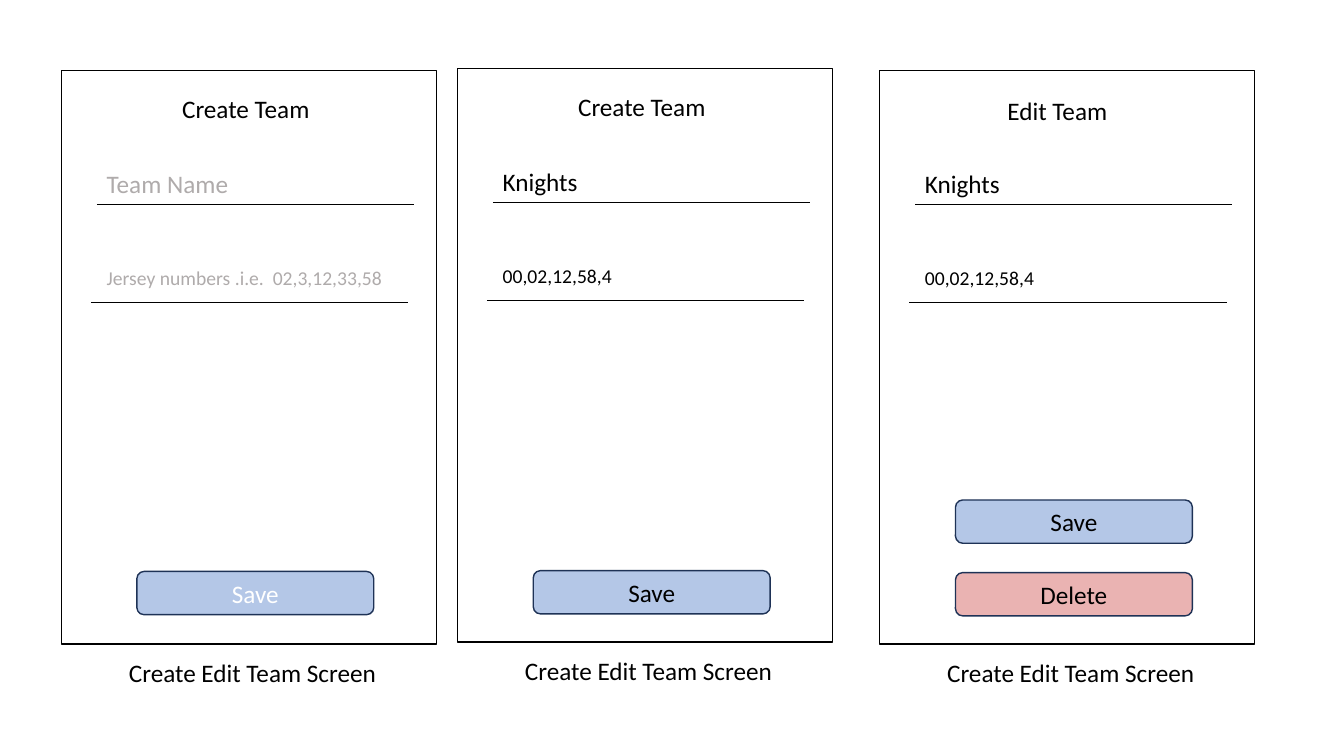
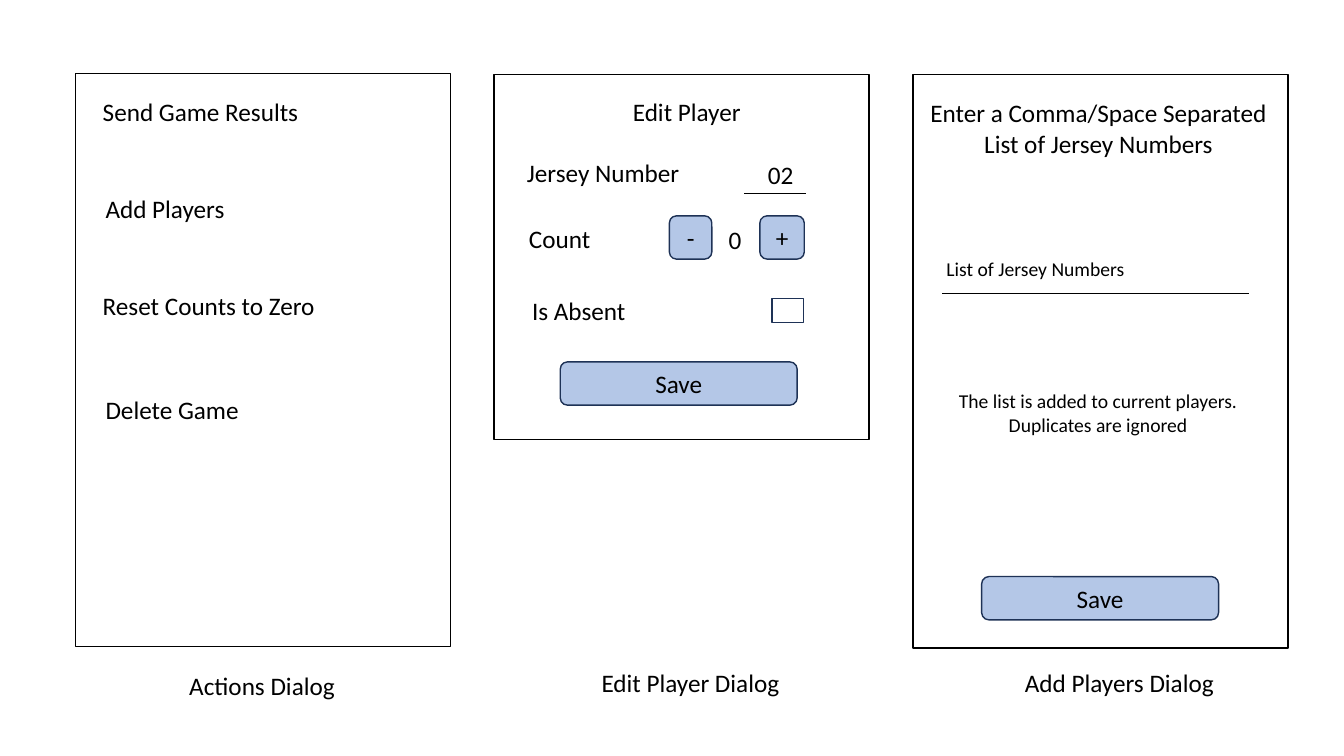
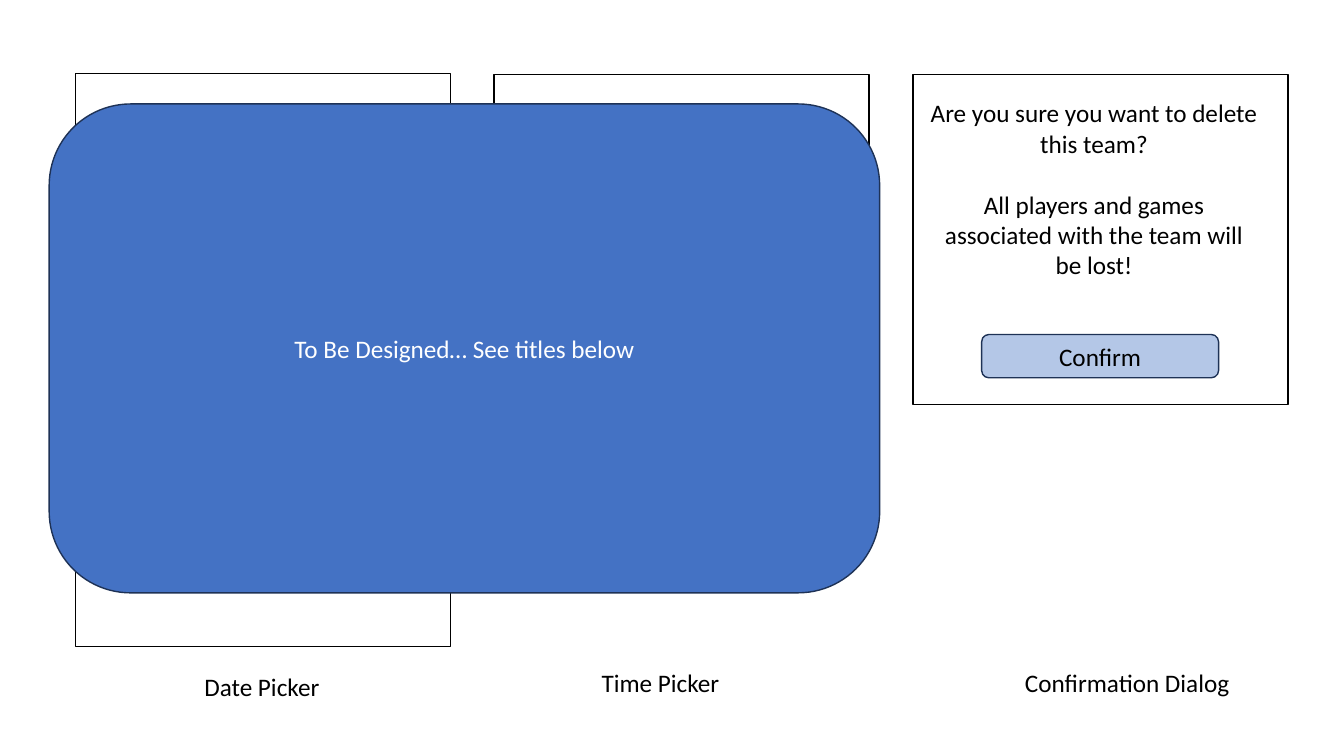
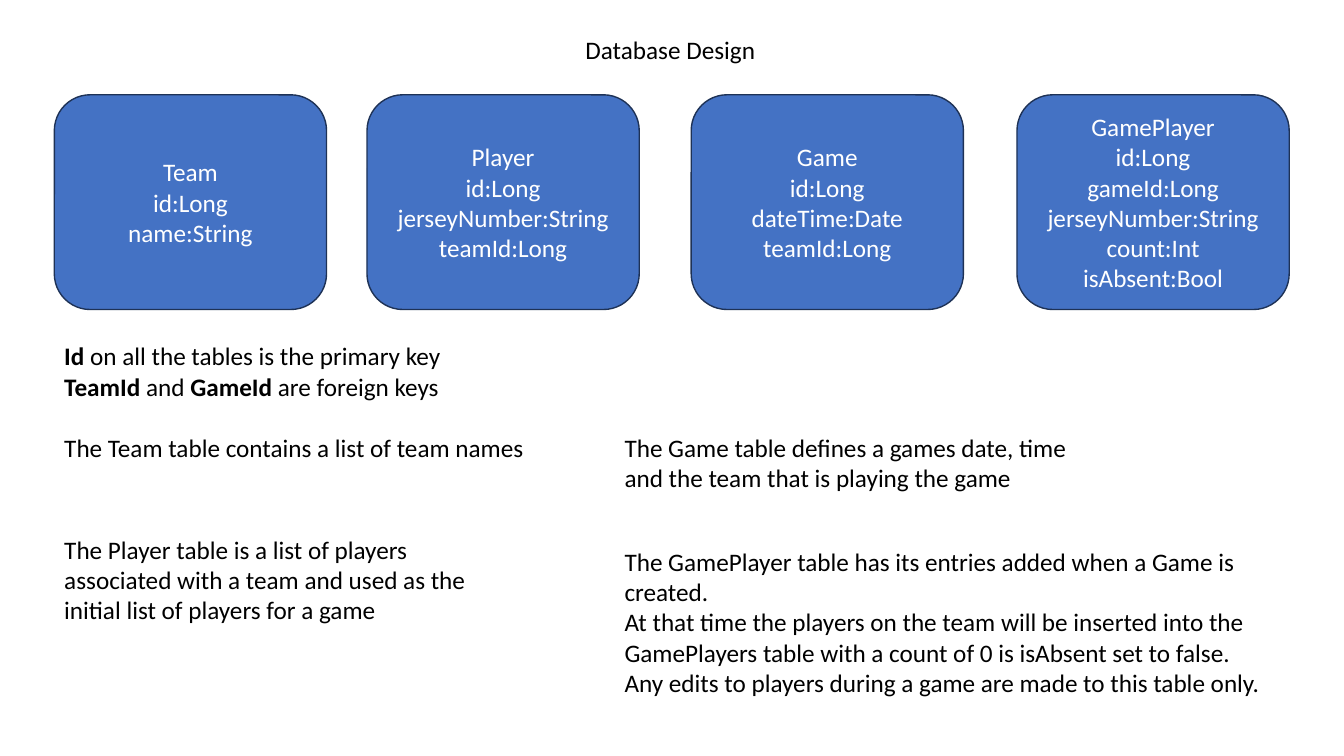
from lxml import etree
from pptx import Presentation
from pptx.dml.color import RGBColor
from pptx.enum import shapes, text
from pptx.oxml import ns
from pptx.util import Cm, Pt

# Shared style
BLACK = RGBColor(0x00, 0x00, 0x00)
WHITE = RGBColor(0xFF, 0xFF, 0xFF)
HINT = RGBColor(0xAF, 0xAB, 0xAB)
BUTTON = RGBColor(0xB4, 0xC7, 0xE7)
DANGER = RGBColor(0xEA, 0xB3, 0xB2)
BLUE = RGBColor(0x44, 0x72, 0xC4)
OUTLINE = RGBColor(0x1E, 0x32, 0x56)
FONT = "Calibri"
BODY, SMALL = 18, 14
LEFT, CENTER = text.PP_ALIGN.LEFT, text.PP_ALIGN.CENTER
RECT = shapes.MSO_SHAPE.RECTANGLE
ROUNDED = shapes.MSO_SHAPE.ROUNDED_RECTANGLE
TITLE_ONLY, BLANK = 5, 6

# Screen mock-up sizes and places, in centimetres
PANEL_WIDTH, PANEL_HEIGHT = 9.45, 14.45
BUTTON_WIDTH, BUTTON_HEIGHT = 5.97, 1.09
ACTIONS, MIDDLE, RIGHT = (1.91, 1.85), (12.45, 1.88), (23.01, 1.88)
DIALOG_HEIGHT = 9.19


def write(frame, paragraphs, size=BODY, color=BLACK, align=LEFT, gap=0):
    """Fill a frame; a paragraph is a string or a list of (text, bold)."""
    for index, content in enumerate(paragraphs):
        para = frame.paragraphs[0] if index == 0 else frame.add_paragraph()
        para.alignment = align
        if index and gap:
            para.space_before = Pt(gap)
        spans = [(content, False)] if isinstance(content, str) else content
        for words, bold in spans:
            span = para.add_run()
            span.text = words
            span.font.name, span.font.size = FONT, Pt(size)
            span.font.bold = bold
            span.font.color.rgb = color


def label(page, left, top, width, *paragraphs, wrap=False, size=BODY, **style):
    height = 0.25 + len(paragraphs) * size * 0.043
    box = page.shapes.add_textbox(Cm(left), Cm(top), Cm(width), Cm(height))
    box.text_frame.word_wrap = wrap
    box.text_frame.auto_size = text.MSO_AUTO_SIZE.SHAPE_TO_FIT_TEXT
    write(box.text_frame, paragraphs, size, **style)


def block(page, kind, left, top, width, height, fill, line=OUTLINE,
          words=(), color=WHITE):
    box = page.shapes.add_shape(kind, Cm(left), Cm(top), Cm(width), Cm(height))
    box.shadow.inherit = False
    box.fill.solid()
    box.fill.fore_color.rgb = fill
    box.line.color.rgb = line
    box.line.width = Pt(1)
    box.text_frame.vertical_anchor = text.MSO_ANCHOR.MIDDLE
    write(box.text_frame, words, color=color, align=CENTER)


def panel(page, left, top, height=PANEL_HEIGHT):
    block(page, RECT, left, top, PANEL_WIDTH, height, WHITE, BLACK)


def button(page, left, top, words, width=BUTTON_WIDTH, fill=BUTTON,
           color=BLACK):
    block(page, ROUNDED, left, top, width, BUTTON_HEIGHT, fill,
          words=[words], color=color)


def underline(page, left, top, width):
    rule = page.shapes.add_connector(shapes.MSO_CONNECTOR.STRAIGHT, Cm(left),
                                     Cm(top), Cm(left + width), Cm(top))
    rule.line.color.rgb = BLACK
    rule.line.width = Pt(0.5)
    etree.SubElement(rule._element.spPr, ns.qn("a:effectLst"))


def team_screen(page, left, top, heading, name, numbers, color=BLACK):
    """Draw a team form; heading is (text, width, indent, drop), the
    name and numbers are (text, width)."""
    panel(page, left, top)
    title, title_width, indent, drop = heading
    label(page, left + indent, top + drop, title_width, title)
    label(page, left + 0.89, top + 2.34, name[1], name[0], color=color)
    underline(page, left + 0.89, top + 3.38, 8)
    label(page, left + 0.89, top + 4.8, numbers[1], numbers[0],
          size=SMALL, color=color)
    underline(page, left + 0.74, top + 5.83, 8)
    label(page, left + 1.45, top + 14.65, 6.91, "Create Edit Team Screen")


def team_screens(page):
    create = ("Create Team", 3.76, 2.79, 0.45)
    edit = ("Edit Team", 3.05, 2.97, 0.51)
    name, numbers = ("Knights", 2.41), ("00,02,12,58,4", 3.43)
    team_screen(page, 1.55, 1.78, create, ("Team Name", 3.61),
                ("Jersey numbers .i.e.  02,3,12,33,58", 7.52), HINT)
    button(page, 3.45, 14.4, "Save", color=WHITE)
    team_screen(page, 11.53, 1.73, create, name, numbers)
    button(page, 13.44, 14.38, "Save")
    team_screen(page, 22.17, 1.78, edit, name, numbers)
    button(page, 24.08, 12.6, "Save")
    button(page, 24.08, 14.43, "Delete", fill=DANGER)


def game_dialogs(page):
    # Actions
    panel(page, *ACTIONS)
    for left, top, width, words in (
            (2.34, 2.31, 5.49, "Send Game Results"),
            (2.41, 4.75, 3.5, "Add Players"),
            (2.34, 7.19, 5.92, "Reset Counts to Zero"),
            (2.41, 9.8, 3.91, "Delete Game")):
        label(page, left, top, width, words)
    label(page, 4.52, 16.76, 4.22, "Actions Dialog")

    # Edit player
    panel(page, *MIDDLE, DIALOG_HEIGHT)
    label(page, 15.7, 2.31, 3.25, "Edit Player")
    label(page, 13.03, 3.84, 4.39, "Jersey Number")
    label(page, 19.1, 3.89, 1.17, "02")
    underline(page, 18.75, 4.88, 1.57)
    label(page, 13.08, 5.51, 2.08, "Count")
    button(page, 16.87, 5.44, "-", width=1.07)
    label(page, 18.11, 5.54, 0.84, "0")
    button(page, 19.15, 5.44, "+", width=1.12)
    label(page, 13.16, 7.32, 2.9, "Is Absent")
    block(page, RECT, 19.46, 7.52, 0.79, 0.61, WHITE)
    button(page, 14.12, 9.12, "Save")
    label(page, 14.91, 16.69, 5.05, "Edit Player Dialog")

    # Add players
    panel(page, *RIGHT)
    label(page, 23.14, 2.34, 9.09, "Enter a Comma/Space Separated",
          "List of Jersey Numbers", align=CENTER)
    label(page, 23.6, 6.35, 5.05, "List of Jersey Numbers", size=SMALL)
    underline(page, 23.75, 7.39, 7.72)
    label(page, 23.85, 9.68, 7.65, "The list is added to current players.",
          "Duplicates are ignored", size=SMALL, align=CENTER)
    button(page, 24.74, 14.53, "Save")
    label(page, 25.58, 16.69, 5.33, "Add Players Dialog")


def pickers_and_confirmation(page):
    # Pickers still to be designed
    panel(page, *ACTIONS)
    panel(page, *MIDDLE, DIALOG_HEIGHT)
    block(page, ROUNDED, 1.24, 2.62, 20.93, 12.32, BLUE,
          words=["To Be Designed… See titles below"])
    label(page, 4.9, 16.79, 3.45, "Date Picker")
    label(page, 14.91, 16.69, 3.51, "Time Picker")

    # Confirmation
    panel(page, *RIGHT, 8.31)
    label(page, 23.19, 2.34, 8.76,
          "Are you sure you want to delete this team?",
          "All players and games associated with the team will be lost!",
          wrap=True, align=CENTER, gap=22)
    button(page, 24.74, 8.43, "Confirm")
    label(page, 25.58, 16.69, 5.74, "Confirmation Dialog")


def database_design(page):
    # Title
    title = page.shapes.title
    title.left, title.top = Cm(14.5), Cm(0.74)
    title.width, title.height = Cm(4.85), Cm(1.02)
    title.text_frame.word_wrap = False
    title.text_frame.vertical_anchor = text.MSO_ANCHOR.TOP
    write(title.text_frame, ["Database Design"])

    # Tables and their fields
    for left, *fields in (
            (1.37, "Team", "id:Long", "name:String"),
            (9.25, "Player", "id:Long", "jerseyNumber:String", "teamId:Long"),
            (17.42, "Game", "id:Long", "dateTime:Date", "teamId:Long"),
            (25.63, "GamePlayer", "id:Long", "gameId:Long",
             "jerseyNumber:String", "count:Int", "isAbsent:Bool")):
        block(page, ROUNDED, left, 2.39, 6.86, 5.41, BLUE, words=fields)

    # Explanations
    first, second = 1.37, 15.49
    label(page, first, 8.46, 10.24,
          [("Id", True), (" on all the tables is the primary key", False)],
          [("TeamId", True), (" and ", False), ("GameId", True),
           (" are foreign keys", False)])
    label(page, first, 10.77, 12.57,
          "The Team table contains a list of team names")
    label(page, first, 13.34, 11.96,
          "The Player table is a list of players associated with a team "
          "and used as the initial list of players for a game", wrap=True)
    label(page, second, 10.77, 12.57,
          "The Game table defines a games date, time and the team that is "
          "playing the game", wrap=True)
    label(page, second, 13.64, 17.12,
          "The GamePlayer table has its entries added when a Game is created.",
          "At that time the players on the team will be inserted into the "
          "GamePlayers table with a count of 0 is isAbsent set to false.",
          "Any edits to players during a game are made to this table only.",
          wrap=True)


def main():
    deck = Presentation()
    deck.slide_width, deck.slide_height = Cm(33.87), Cm(19.05)
    for draw, layout in ((team_screens, BLANK), (game_dialogs, BLANK),
                         (pickers_and_confirmation, BLANK),
                         (database_design, TITLE_ONLY)):
        draw(deck.slides.add_slide(deck.slide_layouts[layout]))
    deck.save("out.pptx")


if __name__ == "__main__":
    main()
